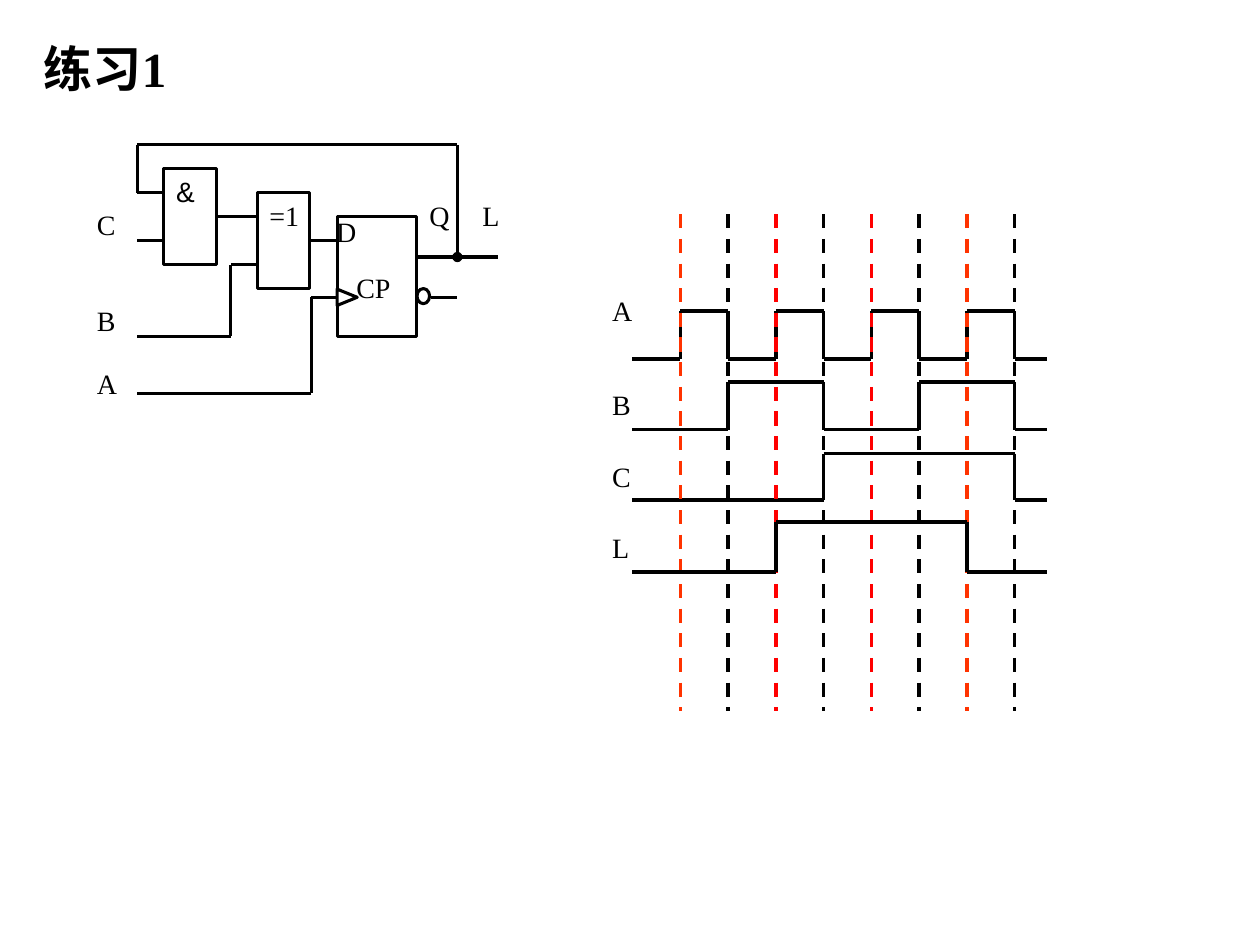
from itertools import groupby
from typing import NamedTuple

from lxml.etree import SubElement
from pptx import Presentation
from pptx.dml.color import RGBColor
from pptx.enum.dml import MSO_LINE
from pptx.enum.shapes import MSO_CONNECTOR, MSO_SHAPE
from pptx.enum.text import MSO_ANCHOR, PP_ALIGN
from pptx.oxml.ns import qn
from pptx.util import Inches, Pt

BLACK, WHITE, RED, ORANGE = "000000", "FFFFFF", "FF0000", "FF3300"
SERIF, SANS = "Times New Roman", "Arial"
CIRCUIT_WIDTH, WAVE_WIDTH = 1.75, 2


class Label(NamedTuple):
    text: str
    left: float
    top: float
    width: float = 0.53
    height: float = 0.76
    font: str = SERIF
    size: float = 16
    bold: bool = False
    anchor: MSO_ANCHOR = MSO_ANCHOR.TOP
    align: PP_ALIGN = PP_ALIGN.JUSTIFY


class Part(NamedTuple):
    kind: MSO_SHAPE
    left: float
    top: float
    width: float
    height: float
    fill: str | None = None
    rotation: float = 0


class Signal(NamedTuple):
    name: str
    label_top: float
    high: float
    low: float
    levels: str
    line_width: float = WAVE_WIDTH


def color(value: str) -> RGBColor:
    return RGBColor.from_string(value)


def add_label(slide, label: Label) -> None:
    box = slide.shapes.add_textbox(Inches(label.left), Inches(label.top),
                                   Inches(label.width), Inches(label.height))
    frame = box.text_frame
    frame.word_wrap = True
    frame.vertical_anchor = label.anchor
    paragraph = frame.paragraphs[0]
    paragraph.alignment = label.align
    run = paragraph.add_run()
    run.text = label.text
    run.font.name = label.font
    run.font.size = Pt(label.size)
    run.font.bold = label.bold
    run.font.color.rgb = color(BLACK)


def add_part(slide, part: Part) -> None:
    shape = slide.shapes.add_shape(part.kind, Inches(part.left), Inches(part.top),
                                   Inches(part.width), Inches(part.height))
    shape.shadow.inherit = False
    shape.rotation = part.rotation
    if part.fill:
        shape.fill.solid()
        shape.fill.fore_color.rgb = color(part.fill)
    else:
        shape.fill.background()
    shape.line.color.rgb = color(BLACK)
    shape.line.width = Pt(CIRCUIT_WIDTH)


def add_line(slide, start: tuple, end: tuple, width: float, line_color: str = BLACK,
             dashed: bool = False, dot_at_end: bool = False) -> None:
    line = slide.shapes.add_connector(MSO_CONNECTOR.STRAIGHT, Inches(start[0]), Inches(start[1]),
                                      Inches(end[0]), Inches(end[1]))
    line.line.color.rgb = color(line_color)
    line.line.width = Pt(width)
    if dashed:
        line.line.dash_style = MSO_LINE.DASH
    if dot_at_end:
        SubElement(line.line._get_or_add_ln(), qn("a:tailEnd"), type="oval")
    SubElement(line._element.spPr, qn("a:effectLst"))


def add_path(slide, points: list, width: float, dot_at_end: bool = False) -> None:
    for index, (start, end) in enumerate(zip(points, points[1:]), start=2):
        add_line(slide, start, end, width, dot_at_end=dot_at_end and index == len(points))


def add_signal(slide, signal: Signal, edges: list) -> None:
    """Draw one waveform; each level covers one interval between edges."""
    points, step = [], 0
    for level, run in groupby(signal.levels):
        height = signal.high if level == "1" else signal.low
        points.append((edges[step], height))
        step += len(list(run))
        points.append((edges[step], height))
    add_path(slide, points, signal.line_width)


PARTS = [
    Part(MSO_SHAPE.RECTANGLE, 2.68, 1.72, 0.63, 0.95, WHITE),
    Part(MSO_SHAPE.ISOSCELES_TRIANGLE, 2.69, 2.28, 0.13, 0.16, WHITE, 90),
    Part(MSO_SHAPE.RECTANGLE, 2.04, 1.53, 0.42, 0.76),
    Part(MSO_SHAPE.RECTANGLE, 1.3, 1.34, 0.42, 0.76),
    Part(MSO_SHAPE.OVAL, 3.31, 2.29, 0.1, 0.12, WHITE),
]
WIRES = [
    [(2.68, 1.91), (2.47, 1.91)],
    [(1.73, 1.72), (2.04, 1.72)],
    [(1.3, 1.91), (1.09, 1.91)],
    [(3.31, 2.04), (3.95, 2.04)],
    [(3.42, 2.36), (3.63, 2.36)],
    [(2.04, 2.1), (1.83, 2.1), (1.83, 2.67), (1.09, 2.67)],
    [(2.68, 2.36), (2.47, 2.36), (2.47, 3.12), (1.09, 3.12)],
]
FEEDBACK = [(1.3, 1.53), (1.09, 1.53), (1.09, 1.15), (3.63, 1.15), (3.63, 2.04)]
CIRCUIT_LABELS = [
    Label("L", 3.73, 1.53),
    Label("=1", 2.04, 1.53),
    Label("&", 1.3, 1.34, font=SANS),
    Label("D", 2.57, 1.65),
    Label("Q", 3.31, 1.53),
    Label("CP", 2.73, 2.1),
    Label("C", 0.67, 1.6, 0.43, 0.57),
    Label("B", 0.67, 2.36, 0.43, 0.57),
    Label("A", 0.67, 2.86, 0.43, 0.57),
]
INPUTS = [
    Signal("A", 2.28, 2.47, 2.85, "010101010"),
    Signal("B", 3.03, 3.03, 3.41, "001100110"),
    Signal("C", 3.6, 3.6, 3.97, "000011110"),
]
OUTPUT = Signal("L", 4.16, 4.14, 4.54, "000111100", 2.25)
CLOCK_EDGES = [5.4 + 0.379 * index for index in range(8)]
WAVE_EDGES = [5.02, *CLOCK_EDGES, 8.31]
GUIDE_COLORS = [ORANGE, BLACK, RED, BLACK, RED, BLACK, ORANGE, BLACK]


def main() -> None:
    presentation = Presentation()
    presentation.slide_width, presentation.slide_height = Inches(10), Inches(7.5)
    slide = presentation.slides.add_slide(presentation.slide_layouts[6])

    # Title
    add_label(slide, Label("练习1", 0.25, 0.25, 1.68, 0.58, size=28, bold=True,
                           anchor=MSO_ANCHOR.MIDDLE, align=PP_ALIGN.LEFT))

    # Logic circuit
    for part in PARTS:
        add_part(slide, part)
    for wire in WIRES:
        add_path(slide, wire, CIRCUIT_WIDTH)
    add_path(slide, FEEDBACK, CIRCUIT_WIDTH, dot_at_end=True)
    for label in CIRCUIT_LABELS:
        add_label(slide, label)

    # Timing diagram: inputs, clock guides, then the output on top
    for signal in INPUTS:
        add_signal(slide, signal, WAVE_EDGES)
    for x, guide_color in zip(CLOCK_EDGES, GUIDE_COLORS):
        add_line(slide, (x, 1.7), (x, 5.64), WAVE_WIDTH, guide_color, dashed=True)
    add_signal(slide, OUTPUT, WAVE_EDGES)
    for signal in [*INPUTS, OUTPUT]:
        add_label(slide, Label(signal.name, 4.76, signal.label_top, 0.67, 0.62))

    presentation.save("out.pptx")


if __name__ == "__main__":
    main()
